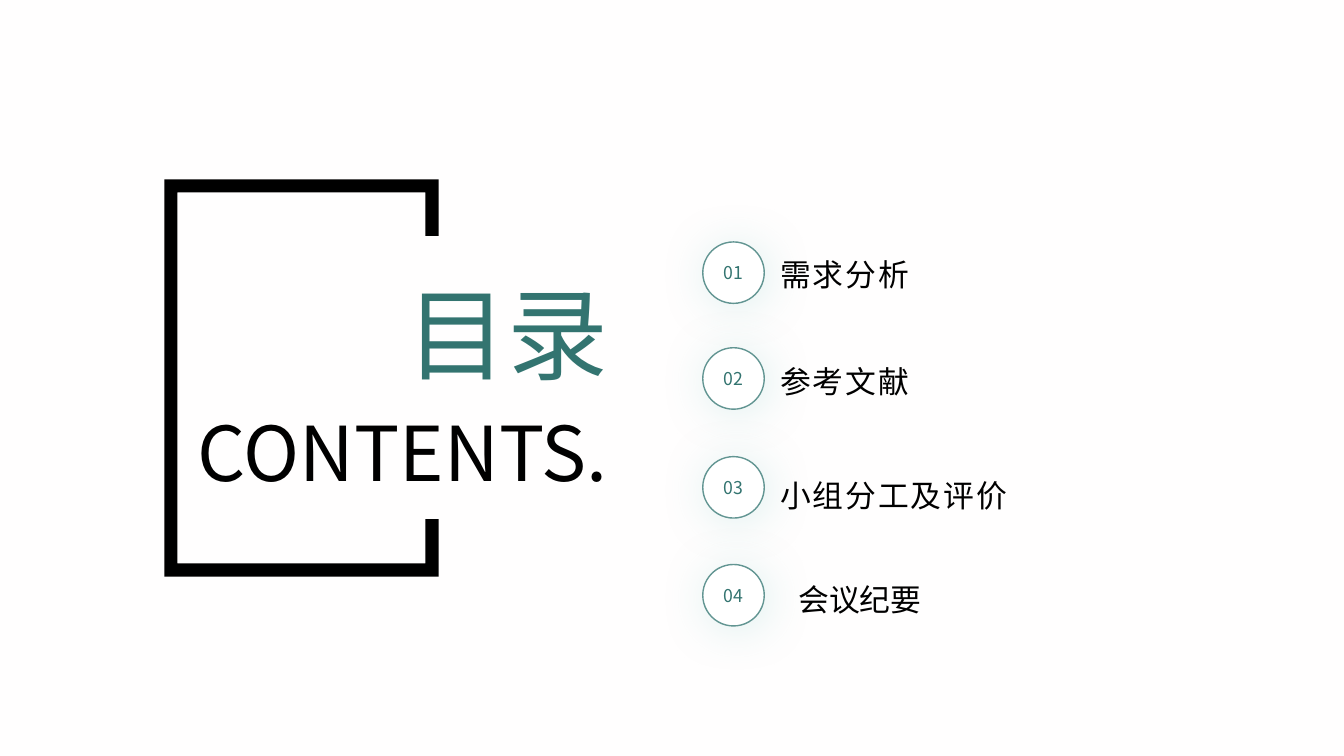
from lxml import etree
from pptx import Presentation
from pptx.dml.color import RGBColor
from pptx.enum import shapes, text
from pptx.oxml import ns
from pptx.util import Inches, Pt

FONT = "Noto Sans CJK SC"
BLACK = "000000"
TEAL = "337470"
CIRCLE_LEFT, CIRCLE_SIZE = 6.97, 0.61


def color(value):
    return RGBColor.from_string(value)


def add_xml(parent, tag, **attributes):
    return etree.SubElement(parent, ns.qn(tag), attributes)


def fill_shape(sp, value):
    sp.shadow.inherit = False
    sp.fill.solid()
    sp.fill.fore_color.rgb = color(value)


def write(sp, content, size, value, anchor, align, spacing=0, font=FONT):
    tf = sp.text_frame
    tf.word_wrap = True
    tf.vertical_anchor = anchor
    p = tf.paragraphs[0]
    p.alignment = align
    r = p.add_run()
    r.text = content
    p.font.name = font
    p.font.size = Pt(size)
    p.font.color.rgb = color(value)
    props = p.font._element if hasattr(p.font, "_element") else p.font._rPr
    if spacing:
        props.set("spc", str(round(spacing * 100)))
    add_xml(props, "a:ea", typeface=FONT)
    return p


def add_text(s, box, *args, **kwargs):
    sp = s.shapes.add_textbox(*map(Inches, box))
    return write(sp, *args, **kwargs)


def add_glow(sp):
    effects = sp._element.spPr.find(ns.qn("a:effectLst"))
    shadow = add_xml(effects, "a:outerShdw", blurRad=str(Pt(34)),
                     dist=str(Pt(3)), dir=str(45 * 60000),
                     algn="tl", rotWithShape="0")
    tint = add_xml(shadow, "a:srgbClr", val="84C9C5")
    add_xml(tint, "a:alpha", val="25000")


def add_number(s, top, number):
    box = (CIRCLE_LEFT, top, CIRCLE_SIZE, CIRCLE_SIZE)
    sp = s.shapes.add_shape(shapes.MSO_SHAPE.OVAL, *map(Inches, box))
    fill_shape(sp, "FFFFFF")
    sp.line.color.rgb = color("629592")
    sp.line.width = Pt(1)
    add_glow(sp)
    p = write(sp, f"{number:02d}", 12.6, TEAL, text.MSO_ANCHOR.MIDDLE,
              text.PP_ALIGN.CENTER, spacing=0.6)
    p.space_after = Pt(8)


def add_item(s, top, label):
    p = add_text(s, (7.64, top, 2.76, 0.48), label, 22, BLACK,
                 text.MSO_ANCHOR.BOTTOM, text.PP_ALIGN.LEFT, spacing=1.4)
    p.line_spacing = 0.8


def add_bracket(s):
    left, top, right, bottom, bar = 1.63, 1.78, 4.35, 5.72, 0.13
    upper_end, lower_end = 2.34, 5.15
    points = [
        (left, top), (right, top), (right, upper_end),
        (right - bar, upper_end), (right - bar, top + bar),
        (left + bar, top + bar), (left + bar, bottom - bar),
        (right - bar, bottom - bar), (right - bar, lower_end),
        (right, lower_end), (right, bottom), (left, bottom),
    ]
    corners = [(Inches(x), Inches(y)) for x, y in points]
    builder = s.shapes.build_freeform(*corners[0])
    builder.add_line_segments(corners[1:], close=True)
    sp = builder.convert_to_shape()
    fill_shape(sp, BLACK)
    sp.line.fill.background()


def main():
    prs = Presentation()
    prs.slide_width, prs.slide_height = Inches(13.33), Inches(7.5)
    s = prs.slides.add_slide(prs.slide_layouts[6])
    s.background.fill.solid()
    s.background.fill.fore_color.rgb = color("FFFEFE")

    for number, top in enumerate((2.4, 3.45, 4.53, 5.6), 1):
        add_number(s, top, number)
    for top, label in ((2.47, "需求分析"), (3.53, "参考文献"),
                       (4.66, "小组分工及评价")):
        add_item(s, top, label)
    add_text(s, (7.82, 5.71, 2.24, 0.47), "会议纪要", 22, BLACK,
             text.MSO_ANCHOR.TOP, text.PP_ALIGN.LEFT, font="Arial")

    add_text(s, (1.63, 4.14, 4.49, 0.68), "CONTENTS.", 54, BLACK,
             text.MSO_ANCHOR.MIDDLE, text.PP_ALIGN.RIGHT)
    add_text(s, (3.92, 2.86, 2.21, 0.88), "目录", 72, TEAL,
             text.MSO_ANCHOR.MIDDLE, text.PP_ALIGN.RIGHT)
    add_bracket(s)
    prs.save("out.pptx")


if __name__ == "__main__":
    main()
